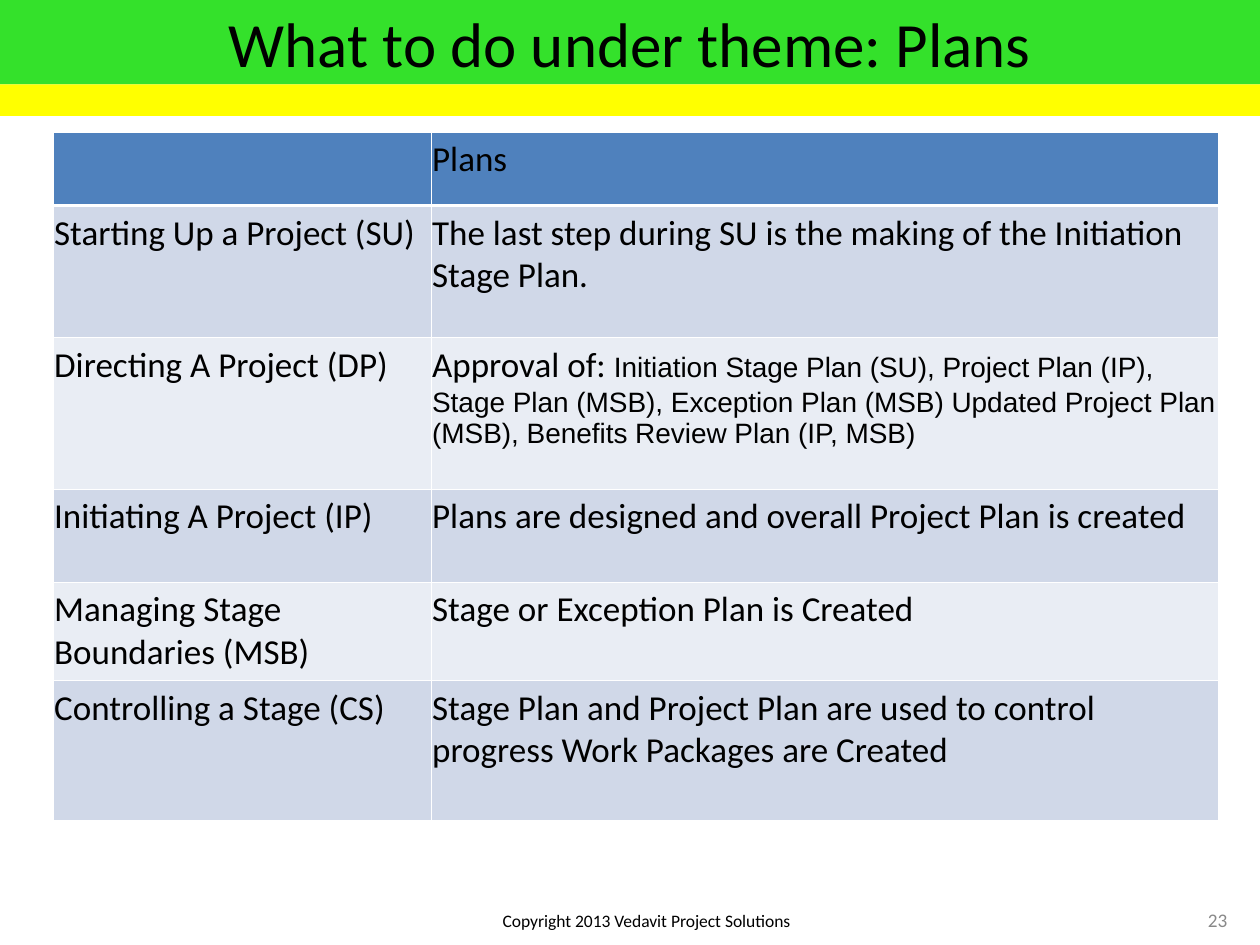
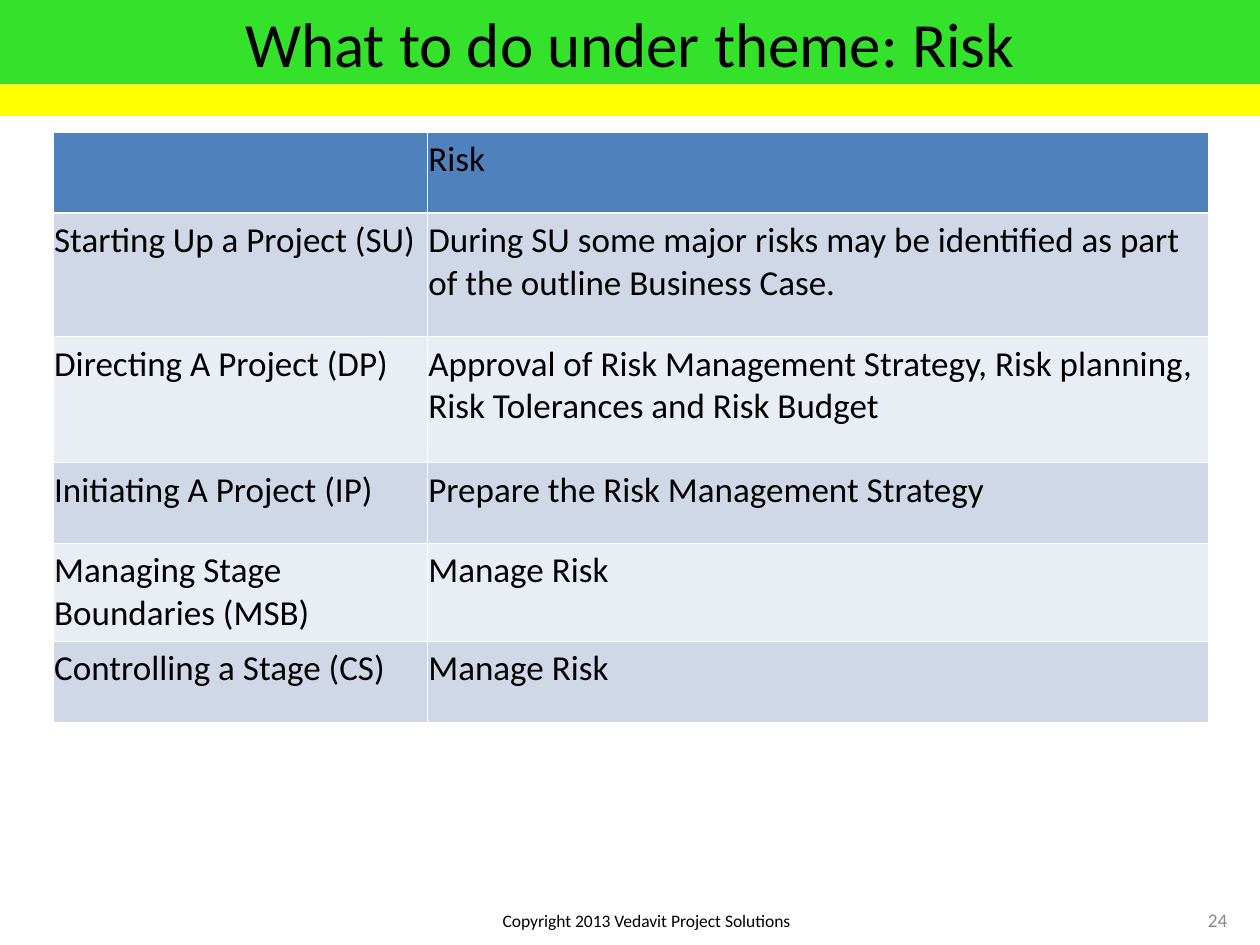
from lxml import etree
from pptx import Presentation
from pptx.dml.color import RGBColor
from pptx.enum.shapes import MSO_SHAPE
from pptx.enum.text import MSO_ANCHOR, PP_ALIGN
from pptx.oxml.ns import qn
from pptx.util import Inches, Pt

GREEN, YELLOW, BLUE = "34E12B", "FFFF00", "4F81BD"
BANDS = ("D0D8E8", "E9EDF4")
BLACK, GREY, WHITE = "000000", "898989", "FFFFFF"
THIN, THICK = 0.45, 1.47

PROCESSES = (
    "Starting Up a Project (SU)",
    "Directing A Project (DP)",
    "Initiating A Project (IP)",
    "Managing Stage Boundaries (MSB)",
    "Controlling a Stage (CS)",
)

THEMES = (
    dict(
        name="Plans",
        number=23,
        cols=(3, 6.25),
        rows=(0.58, 1.05, 1.2, 0.74, 0.78, 1.11),
        actions=(
            "The last step during SU is the making of the Initiation Stage Plan.",
            (
                ("Approval of: ", {}),
                ("Initiation Stage Plan (SU), Project Plan (IP), Stage Plan (MSB), "
                 "Exception Plan (MSB) Updated Project Plan (MSB), "
                 "Benefits Review Plan (IP, MSB)", dict(size=16, font="Arial")),
            ),
            "Plans are designed and overall Project Plan is created",
            "Stage or Exception Plan is Created",
            "Stage Plan and Project Plan are used to control progress "
            "Work Packages are Created",
        ),
    ),
    dict(
        name="Risk",
        number=24,
        cols=(2.97, 6.2),
        rows=(0.64, 0.98, 1, 0.64, 0.78, 0.64),
        actions=(
            "During SU some major risks may be identified as part of the "
            "outline Business Case.",
            "Approval of Risk Management Strategy, Risk planning, "
            "Risk Tolerances and Risk Budget",
            "Prepare the Risk Management Strategy",
            "Manage Risk",
            "Manage Risk",
        ),
    ),
)


def rgb(value):
    return RGBColor.from_string(value)


def write(tf, text, align=PP_ALIGN.LEFT, **base):
    """Fill a text frame with a string, or with (string, format) runs."""
    runs = ((text, {}),) if isinstance(text, str) else text
    p = tf.paragraphs[0]
    p.alignment = align
    for content, changes in runs:
        style = dict(size=20, font="Calibri", color=BLACK) | base | changes
        r = p.add_run()
        r.text = content
        r.font.size = Pt(style["size"])
        r.font.name = style["font"]
        r.font.bold = False
        r.font.color.rgb = rgb(style["color"])


def set_border(cell, side, width):
    ln = etree.SubElement(cell._tc.get_or_add_tcPr(), qn(f"a:ln{side}"), w=str(Pt(width)))
    fill = etree.SubElement(ln, qn("a:solidFill"))
    etree.SubElement(fill, qn("a:srgbClr"), val=WHITE)


class Deck:
    def __init__(self):
        self.prs = Presentation()
        self.prs.slide_width, self.prs.slide_height = Inches(10), Inches(7.5)
        self.slide = None

    def add_slide(self, title, number):
        self.slide = self.prs.slides.add_slide(self.prs.slide_layouts[6])
        title_band = self.band(0, 0.67, GREEN)
        title_band.text_frame.vertical_anchor = MSO_ANCHOR.MIDDLE
        write(title_band.text_frame, title, PP_ALIGN.CENTER, size=36)
        self.band(0.67, 0.25, YELLOW)
        self.label(3.67, 7.17, 2.92, 0.25, "Copyright 2013 Vedavit Project Solutions", size=10)
        self.label(9.33, 7.1, 0.67, 0.4, str(number), MSO_ANCHOR.MIDDLE, size=11, color=GREY)

    def band(self, top, height, color):
        sp = self.slide.shapes.add_shape(
            MSO_SHAPE.RECTANGLE, 0, Inches(top), self.prs.slide_width, Inches(height))
        sp.shadow.inherit = False
        sp.fill.solid()
        sp.fill.fore_color.rgb = rgb(color)
        sp.line.fill.background()
        return sp

    def label(self, left, top, width, height, text, anchor=MSO_ANCHOR.TOP, **fmt):
        sp = self.slide.shapes.add_textbox(
            Inches(left), Inches(top), Inches(width), Inches(height))
        tf = sp.text_frame
        tf.word_wrap = True
        tf.vertical_anchor = anchor
        write(tf, text, PP_ALIGN.CENTER, **fmt)

    def table(self, left, top, cols, rows, content):
        table = self.slide.shapes.add_table(
            len(rows), len(cols), Inches(left), Inches(top),
            Inches(sum(cols)), Inches(sum(rows))).table
        for column, width in zip(table.columns, cols):
            column.width = Inches(width)
        for i, (row, height, texts) in enumerate(zip(table.rows, rows, content)):
            row.height = Inches(height)
            for cell, text in zip(row.cells, texts):
                self.cell(cell, i, text)

    def cell(self, cell, row, text):
        cell.margin_left = cell.margin_right = Inches(0.01)
        set_border(cell, "L", THIN)
        set_border(cell, "R", THIN)
        set_border(cell, "T", THICK if row == 1 else THIN)
        set_border(cell, "B", THICK if row == 0 else THIN)
        cell.fill.solid()
        cell.fill.fore_color.rgb = rgb(BANDS[(row - 1) % 2] if row else BLUE)
        if text:
            write(cell.text_frame, text)


def main():
    deck = Deck()
    for theme in THEMES:
        deck.add_slide(f"What to do under theme: {theme['name']}", theme["number"])
        content = [("", theme["name"]), *zip(PROCESSES, theme["actions"])]
        deck.table(0.42, 1.05, theme["cols"], theme["rows"], content)
    deck.prs.save("out.pptx")


if __name__ == "__main__":
    main()
